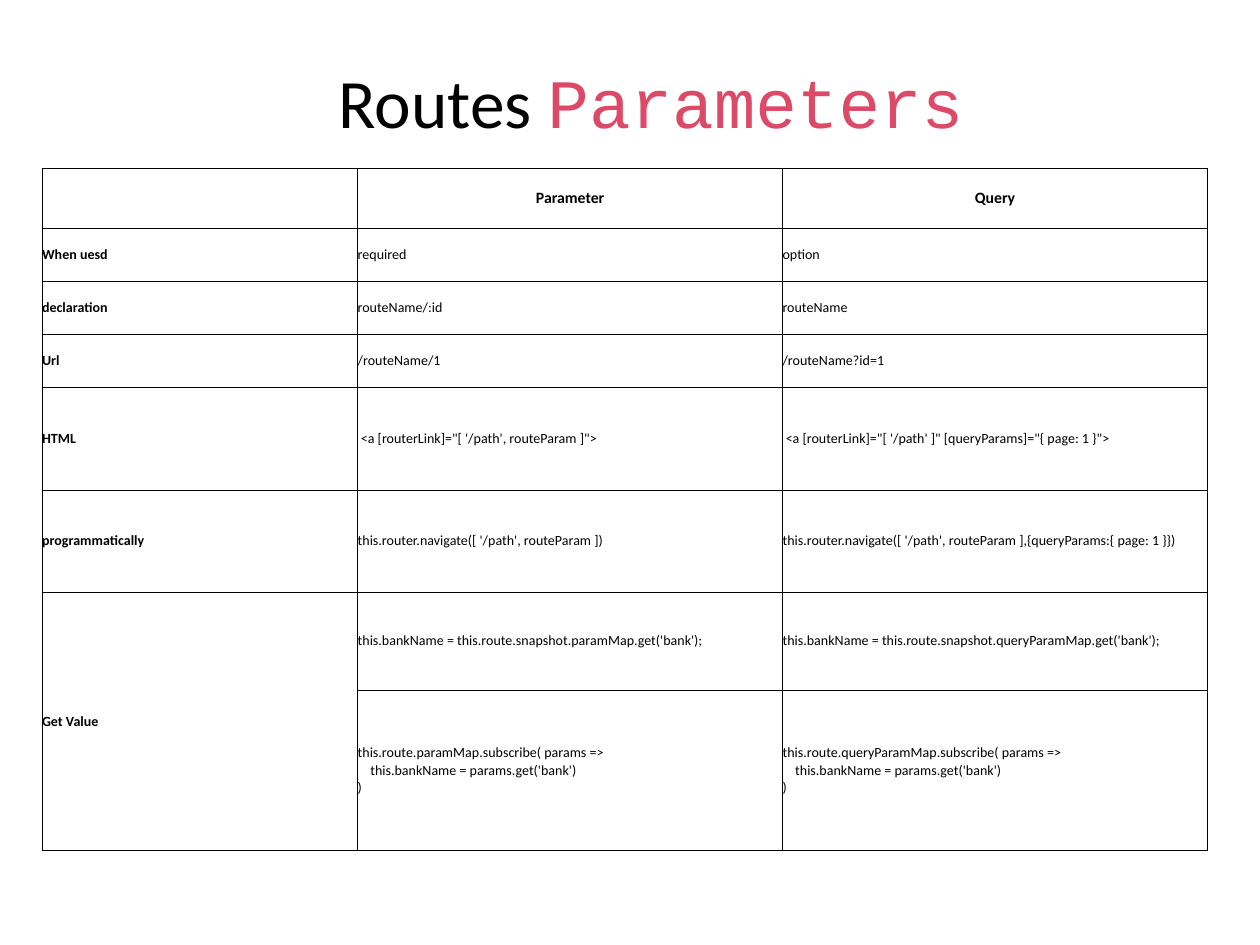
from lxml import etree
from pptx import Presentation
from pptx.dml.color import RGBColor
from pptx.enum.text import MSO_ANCHOR, PP_ALIGN
from pptx.oxml.ns import qn
from pptx.util import Pt

CENTER, LEFT = PP_ALIGN.CENTER, PP_ALIGN.LEFT
TOP, MIDDLE = MSO_ANCHOR.TOP, MSO_ANCHOR.MIDDLE
BLACK, PINK = "000000", "DD4A68"


def add_run(p, text, size, font="Calibri", color=BLACK, bold=False):
    r = p.add_run()
    r.text = text
    r.font.size = Pt(size)
    r.font.name = font
    r.font.bold = bold
    r.font.color.rgb = RGBColor.from_string(color)


def add_borders(cell):
    tcPr = cell._tc.get_or_add_tcPr()
    for i, side in enumerate(("a:lnL", "a:lnR", "a:lnT", "a:lnB")):
        ln = etree.Element(qn(side), w=str(Pt(0.5)))
        fill = etree.SubElement(ln, qn("a:solidFill"))
        etree.SubElement(fill, qn("a:srgbClr"), val=BLACK)
        tcPr.insert(i, ln)


prs = Presentation()
prs.slide_width, prs.slide_height = Pt(720), Pt(540)
s = prs.slides.add_slide(prs.slide_layouts[6])

title = s.shapes.add_textbox(Pt(48), Pt(34), Pt(648), Pt(90))
tf = title.text_frame
tf.word_wrap = True
tf.vertical_anchor = TOP
tf.margin_top = tf.margin_bottom = 0
p = tf.paragraphs[0]
p.alignment = CENTER
add_run(p, "Routes ", 39.6)
add_run(p, "Parameters", 39.6, "Courier New", PINK)

rows = [
    ("", "Parameter", "Query"),
    ("When uesd", "required", "option"),
    ("declaration", "routeName/:id", "routeName"),
    ("Url", "/routeName/1", "/routeName?id=1"),
    ("HTML", " <a [routerLink]=\"[ '/path', routeParam ]\"> ",
     " <a [routerLink]=\"[ '/path' ]\" [queryParams]=\"{ page: 1 }\">"),
    ("programmatically", "this.router.navigate([ '/path', routeParam ])",
     "this.router.navigate([ '/path', routeParam ],{queryParams:{ page: 1 }})"),
    ("Get Value", "this.bankName = this.route.snapshot.paramMap.get('bank');",
     "this.bankName = this.route.snapshot.queryParamMap.get('bank');"),
    ("", "this.route.paramMap.subscribe( params =>\n\tthis.bankName = params.get('bank')\n)",
     "this.route.queryParamMap.subscribe( params =>\n\tthis.bankName = params.get('bank')\n)"),
]
col_widths = [180.4, 242.8, 242.8]
row_heights = [34.4, 30.4, 30.4, 30.4, 58.4, 58.4, 56, 91.6]

frame = s.shapes.add_table(len(rows), len(col_widths), Pt(24), Pt(96),
                           Pt(sum(col_widths)), Pt(sum(row_heights)))
table = frame.table
table.first_row = table.horz_banding = False
for col, width in zip(table.columns, col_widths):
    col.width = Pt(width)
for row, height in zip(table.rows, row_heights):
    row.height = Pt(height)
table.cell(6, 0).merge(table.cell(7, 0))

for i, texts in enumerate(rows):
    for j, text in enumerate(texts):
        cell = table.cell(i, j)
        cell.fill.background()
        add_borders(cell)
        cell.vertical_anchor = MIDDLE
        cell.margin_left = cell.margin_right = cell.margin_top = cell.margin_bottom = 0
        if not text:
            continue
        tf = cell.text_frame
        for n, line in enumerate(text.split("\n")):
            p = tf.add_paragraph() if n else tf.paragraphs[0]
            p.alignment = LEFT if i else CENTER
            if line.startswith("\t"):
                p._p.get_or_add_pPr().set("marL", str(Pt(7.2)))
            add_run(p, line.lstrip("\t"), 8 if i else 9, bold=i == 0 or j == 0)

prs.save("out.pptx")
